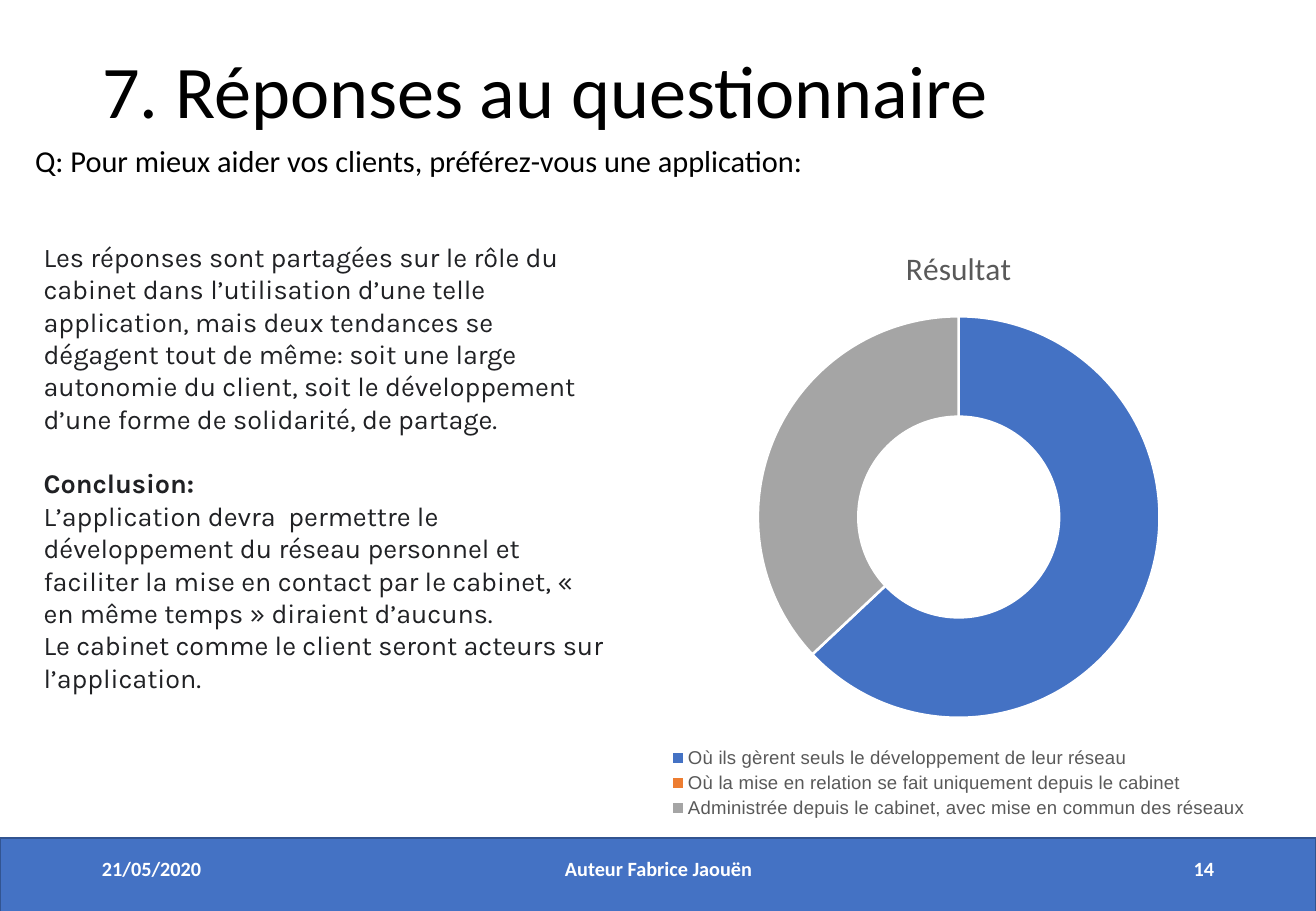
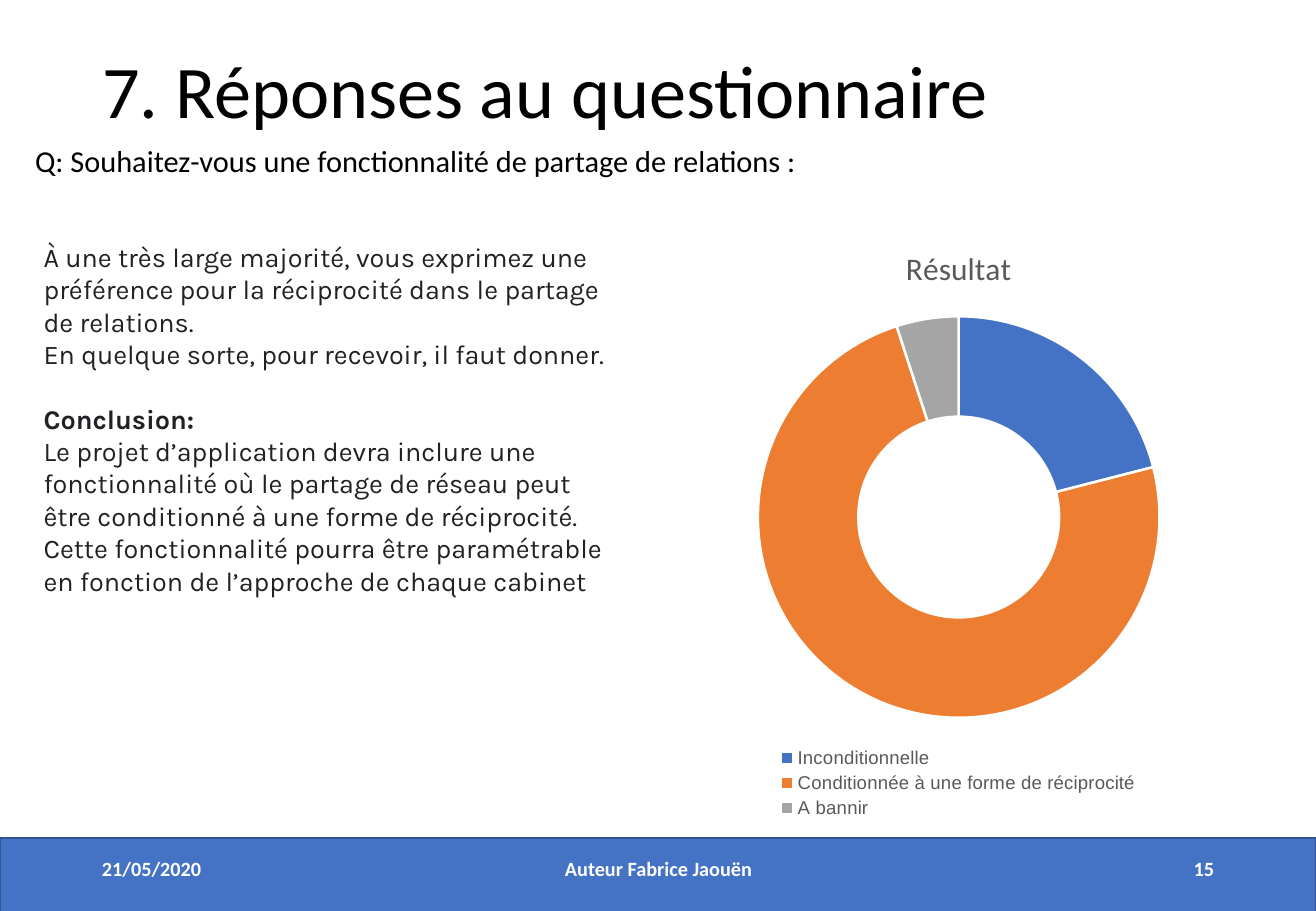
from lxml.etree import SubElement
from pptx import Presentation
from pptx.chart.data import CategoryChartData
from pptx.dml.color import RGBColor
from pptx.enum.chart import XL_CHART_TYPE, XL_LEGEND_POSITION
from pptx.enum.shapes import MSO_SHAPE
from pptx.enum.text import MSO_ANCHOR, PP_ALIGN
from pptx.oxml.ns import qn
from pptx.util import Inches, Pt

# Content: legend_w is the legend's share of the chart width
TITLE = "7. Réponses au questionnaire"
DATE, AUTHOR, FIRST_NUMBER = "21/05/2020", "Auteur Fabrice Jaouën", 14
SERIES, HEADING = "Résultat", "Conclusion:"
SLIDES = [
    {
        "question": "Q: Pour mieux aider vos clients, préférez-vous une application:",
        "text": [
            "Les réponses sont partagées sur le rôle du cabinet dans l’utilisation d’une telle "
            "application, mais deux tendances se dégagent tout de même: soit une large autonomie "
            "du client, soit le développement d’une forme de solidarité, de partage.",
            HEADING,
            "L’application devra  permettre le développement du réseau personnel et faciliter "
            "la mise en contact par le cabinet, « en même temps » diraient d’aucuns.",
            "Le cabinet comme le client seront acteurs sur l’application.",
        ],
        "height": 3.67,
        "results": {
            "Où ils gèrent seuls le développement de leur réseau": 63,
            "Où la mise en relation se fait uniquement depuis le cabinet": 0,
            "Administrée depuis le cabinet, avec mise en commun des réseaux": 37,
        },
        "legend_w": 0.85,
    },
    {
        "question": "Q: Souhaitez-vous une fonctionnalité de partage de relations :",
        "text": [
            "À une très large majorité, vous exprimez une préférence pour la réciprocité dans "
            "le partage de relations.",
            "En quelque sorte, pour recevoir, il faut donner.",
            HEADING,
            "Le projet d’application devra inclure une fonctionnalité où le partage de réseau "
            "peut être conditionné à une forme de réciprocité.",
            "Cette fonctionnalité pourra être paramétrable en fonction de l’approche de chaque "
            "cabinet",
        ],
        "height": 3.06,
        "results": {
            "Inconditionnelle": 21,
            "Conditionnée à une forme de réciprocité": 74,
            "A bannir": 5,
        },
        "legend_w": 0.53,
    },
]

# Shared style
BLUE, BAND_LINE, WHITE, BLACK = "4472C4", "325491", "FFFFFF", "000000"
BODY, GREY = "202124", "595959"
SLICES = [BLUE, "ED7D31", "A5A5A5"]
FONT, BODY_FONT, LEGEND_FONT = "Calibri", "Karla", "Arial"
FOOTERS = [(0.74, 2.44, PP_ALIGN.LEFT), (3.59, 3.66, PP_ALIGN.CENTER),
           (7.65, 2.44, PP_ALIGN.RIGHT)]


def rgb(color):
    return RGBColor.from_string(color)


def style(font, size, color, name=FONT, bold=False):
    font.size, font.name, font.bold = Pt(size), name, bold
    font.color.rgb = rgb(color)


def place(shape, *box):
    shape.left, shape.top, shape.width, shape.height = map(Inches, box)


def add_text(s, box, lines, size, color, name=FONT, bold=False,
             align=PP_ALIGN.LEFT, anchor=MSO_ANCHOR.TOP):
    tf = s.shapes.add_textbox(*map(Inches, box)).text_frame
    tf.word_wrap, tf.vertical_anchor = True, anchor
    tf.text = "\n".join(lines)
    for p in tf.paragraphs:
        p.alignment = align
        heading = p.text == HEADING
        if heading:
            p.space_before = Pt(19.2)
        style(p.runs[0].font, size, color, name, bold or heading)


def add_title(s):
    title = s.shapes.title
    place(title, 0.74, 0.4, 9.34, 1.45)
    tf = title.text_frame
    tf.text, tf.vertical_anchor = TITLE, MSO_ANCHOR.TOP
    p = tf.paragraphs[0]
    p.alignment, p.line_spacing = PP_ALIGN.LEFT, 0.9
    style(p.runs[0].font, 44, BLACK)


def add_master_band(prs, s):
    """Draw the band, then move it behind everything on the slide master."""
    band = s.shapes.add_shape(MSO_SHAPE.RECTANGLE, 0, Inches(6.9), prs.slide_width, Inches(0.63))
    band.shadow.inherit = False
    band.fill.solid()
    band.fill.fore_color.rgb = rgb(BLUE)
    band.line.color.rgb, band.line.width = rgb(BAND_LINE), Pt(1)
    band._element.nvSpPr.cNvPr.set("id", "50")
    prs.slide_master.shapes._spTree.insert(2, band._element)


def set_layout(part, x, y, w, h, inner=False):
    """Fix a chart part at fractions of the chart area."""
    layout = part.find(qn("c:layout"))
    if layout is None:
        layout = SubElement(part, qn("c:layout"))
        before = part.find(qn("c:legendPos"))
        if before is None:
            part.insert(0, layout)
        else:
            before.addnext(layout)
    manual = SubElement(layout, qn("c:manualLayout"))
    values = [("layoutTarget", "inner")] if inner else []
    values += [("xMode", "edge"), ("yMode", "edge"), ("x", x), ("y", y), ("w", w), ("h", h)]
    for tag, value in values:
        SubElement(manual, qn(f"c:{tag}")).set("val", str(value))


def add_doughnut(s, results, legend_w):
    data = CategoryChartData()
    data.categories = list(results)
    data.add_series(SERIES, list(results.values()))
    box = map(Inches, (5.05, 1.83, 5.68, 4.99))
    chart = s.shapes.add_chart(XL_CHART_TYPE.DOUGHNUT, *box, data).chart
    style(chart.font, 10, BLACK)

    # Title and legend
    chart.has_title = True
    tf = chart.chart_title.text_frame
    tf.text = SERIES
    style(tf.paragraphs[0].runs[0].font, 18.6, GREY)
    chart.has_legend = True
    legend = chart.legend
    legend.position, legend.include_in_layout = XL_LEGEND_POSITION.BOTTOM, False
    style(legend.font, 11, GREY, LEGEND_FONT)
    set_layout(legend._element, round((1 - legend_w) / 2, 3), 0.86, legend_w, 0.13)

    # Ring
    plot = chart.plots[0]
    plot.vary_by_categories = True
    plot._element.find(qn("c:holeSize")).set("val", "75")
    set_layout(plot._element.getparent(), 0.209, 0.155, 0.582, 0.663, inner=True)
    for i, color in enumerate(SLICES):
        fmt = plot.series[0].points[i].format
        fmt.fill.solid()
        fmt.fill.fore_color.rgb = rgb(color)
        fmt.line.color.rgb, fmt.line.width = rgb(WHITE), Pt(1.5)


def main():
    prs = Presentation()
    prs.slide_width, prs.slide_height = Inches(10.83), Inches(7.5)
    for i, item in enumerate(SLIDES):
        s = prs.slides.add_slide(prs.slide_layouts[5])
        if i == 0:
            add_master_band(prs, s)
        footer = (DATE, AUTHOR, str(FIRST_NUMBER + i))
        for text, (x, w, align) in zip(footer, FOOTERS):
            add_text(s, (x, 6.95, w, 0.4), [text], 12, WHITE, bold=True,
                     align=align, anchor=MSO_ANCHOR.MIDDLE)
        add_title(s)
        add_text(s, (0.19, 1.12, 10.05, 0.4), [item["question"]], 18, BLACK)
        add_doughnut(s, item["results"], item["legend_w"])
        add_text(s, (0.26, 1.93, 4.82, item["height"]), item["text"], 16, BODY, BODY_FONT)
    prs.save("out.pptx")


if __name__ == "__main__":
    main()
